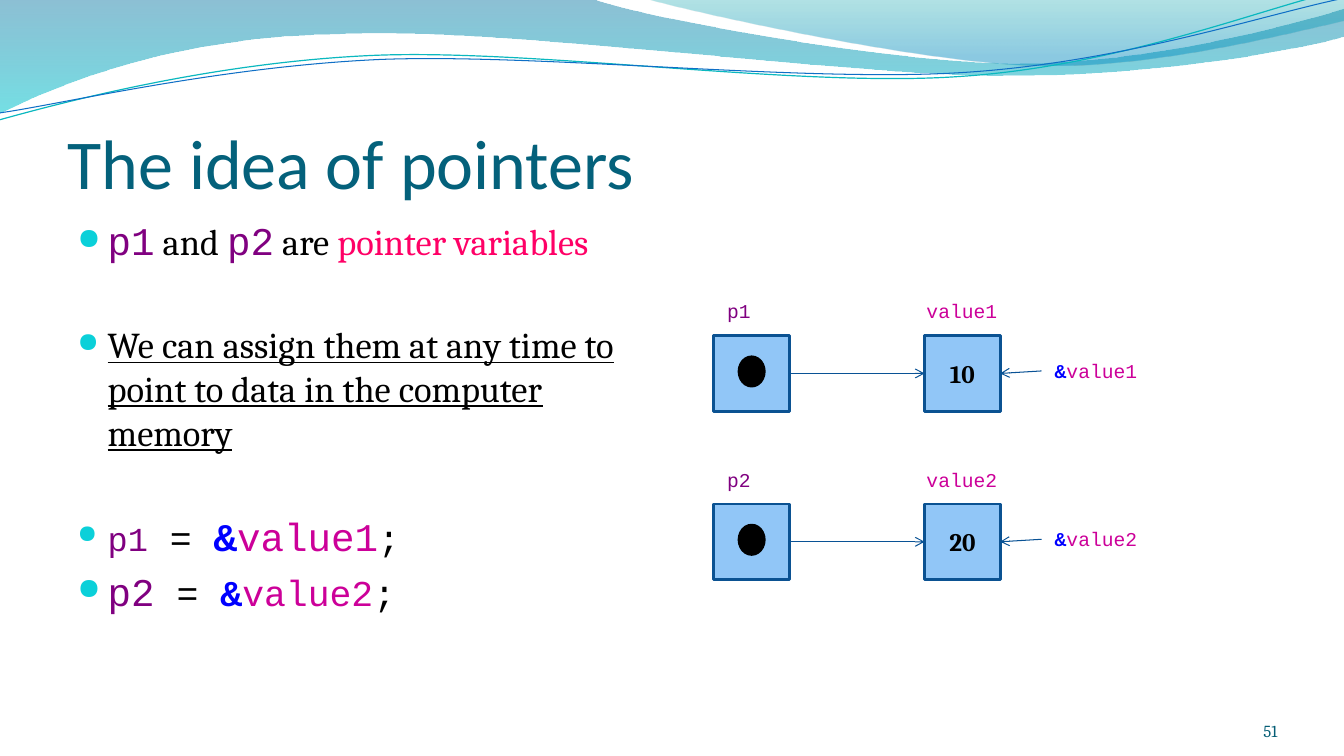
from lxml import etree
from pptx import Presentation
from pptx.dml.color import RGBColor
from pptx.enum.shapes import MSO_CONNECTOR as Connector, MSO_SHAPE as Shape
from pptx.enum.text import MSO_ANCHOR as Anchor, PP_ALIGN as Align
from pptx.oxml.ns import qn
from pptx.util import Inches, Pt

SERIF, MONO, SANS = "Cambria", "Courier New", "Calibri"
BLACK, PURPLE, MAGENTA, BLUE, PINK = "000000", "800080", "CC0099", "0000FF", "FF0066"
BOX_FILL, BOX_EDGE, ARROW, BULLET = "91C6F7", "0B5292", "095295", "0BD0D9"

# Runs: text, size, font, colour, then any of "b" (bold) and "u" (underline)
TITLE = [("The idea of pointers", 50, SANS, "04617B", "")]
PAGE = [("51", 12, SERIF, "045D75", "")]
# Bullets: space before in points, runs
BULLETS = [
    (0, [("p1", 28, MONO, PURPLE, ""), (" and ", 26, SERIF, BLACK, ""),
         ("p2", 28, MONO, PURPLE, ""), (" are ", 26, SERIF, BLACK, ""),
         ("pointer variables", 26, SERIF, PINK, "")]),
    (42, [("We can assign them at any time to point to data in the computer memory",
           26, SERIF, BLACK, "u")]),
    (42, [("p1", 24, MONO, PURPLE, ""), (" = ", 26, MONO, BLACK, ""),
          ("&", 28, MONO, BLUE, "b"), ("value1", 28, MONO, MAGENTA, ""),
          (";", 26, MONO, BLACK, "")]),
    (5.5, [("p2", 28, MONO, PURPLE, ""), (" = ", 26, MONO, BLACK, ""),
           ("&", 26, MONO, BLUE, "b"), ("value2", 26, MONO, MAGENTA, ""),
           (";", 26, MONO, BLACK, "")]),
]
POINTERS = [("p1", "value1", "10"), ("p2", "value2", "20")]

# Outlines: start point, then line ends (2 numbers) or Bezier curves (6 numbers)
# Bands: outline, gradient stops as position, colour, opacity %
BANDS = [
    ([(0, 0), (5.87, -0.01), (6.34, 0.17, 8.85, 0.63, 10.11, 0.63),
      (11.38, 0.63, 12.78, 0.26, 13.33, 0.09), (13.35, 0.36),
      (13.11, 0.44, 11.6, 0.76, 9.94, 0.75), (8.29, 0.75, 5.09, 0.28, 3.43, 0.34),
      (1.72, 0.36, 0.61, 0.83, -0.01, 1.13), (0, 0)],
     [(0, "0074A1", 45), (1, "00C6CF", 55)]),
    ([(6.39, -0.01), (6.79, 0.11, 9.09, 0.62, 10.25, 0.65),
      (11.41, 0.69, 12.82, 0.32, 13.33, 0.21), (13.33, 0), (6.39, -0.01)],
     [(0, "00A1A9", 30), (0.8, "008BBF", 45)]),
]
# Waves: outline, colour, width in points
WAVES = [
    ([(-0.01, 1.19), (0.64, 1.01, 2.11, 0.62, 3.69, 0.55),
      (5.27, 0.48, 7.9, 0.87, 9.5, 0.76), (11.1, 0.66, 12.52, 0.08, 13.31, -0.1)],
     "0AB8BF", 0.85),
    ([(0, 1.12), (0.63, 1.03, 2.18, 0.66, 3.78, 0.59),
      (5.37, 0.53, 7.96, 0.82, 9.55, 0.72), (11.15, 0.62, 12.55, 0.14, 13.34, -0.02)],
     "0F6FC6", 0.75),
]

ROW_TOP, ROW_STEP, BOX = 3.33, 1.67, 0.75
POINTER_X, VALUE_X, ADDRESS_X = 7.08, 9.17, 10.33
LABEL_H, LABEL_RISE, ADDRESS_DROP = 0.34, 0.41, 0.18
DOT_W, DOT_H, DOT_DROP = 0.25, 0.29, 0.21

prs = Presentation()
prs.slide_width, prs.slide_height = Inches(13.33), Inches(7.5)
slide = prs.slides.add_slide(prs.slide_layouts[6])
shapes = slide.shapes


def rgb(colour):
    return RGBColor.from_string(colour)


def add_outline(outline, close):
    """Draw through all points, then join each curve's three points into one Bezier."""
    start, *parts = outline
    points = [(Inches(x), Inches(y)) for part in parts
              for x, y in zip(part[::2], part[1::2])]
    builder = shapes.build_freeform(Inches(start[0]), Inches(start[1]))
    builder.add_line_segments(points, close=close)
    shape = builder.convert_to_shape()
    shape.shadow.inherit = False
    segments = iter(list(shape._element.iter(qn("a:lnTo"))))
    for part in parts:
        segment = next(segments)
        if len(part) == 6:
            segment.tag = qn("a:cubicBezTo")
            for _ in range(2):
                extra = next(segments)
                segment.append(extra[0])
                extra.getparent().remove(extra)
    return shape


def add_runs(paragraph, runs):
    for text, size, font, colour, style in runs:
        run = paragraph.add_run()
        run.text = text
        run.font.size, run.font.name = Pt(size), font
        run.font.color.rgb = rgb(colour)
        run.font.bold, run.font.underline = "b" in style, "u" in style


def add_text(x, y, w, h, runs, align=Align.CENTER, anchor=Anchor.TOP, margins=None):
    box = shapes.add_textbox(Inches(x), Inches(y), Inches(w), Inches(h))
    frame = box.text_frame
    frame.word_wrap, frame.vertical_anchor = True, anchor
    if margins:
        (frame.margin_left, frame.margin_top, frame.margin_right,
         frame.margin_bottom) = [Inches(m) for m in margins]
    frame.paragraphs[0].alignment = align
    add_runs(frame.paragraphs[0], runs)
    return box


def add_shape(kind, x, y, w, h, fill, edge):
    shape = shapes.add_shape(kind, Inches(x), Inches(y), Inches(w), Inches(h))
    shape.shadow.inherit = False
    shape.fill.solid()
    shape.fill.fore_color.rgb = rgb(fill)
    shape.line.color.rgb, shape.line.width = rgb(edge), Pt(2)
    return shape


def add_arrow(start, start_side, end, end_side):
    arrow = shapes.add_connector(Connector.STRAIGHT, 0, 0, 0, 0)
    arrow.begin_connect(start, start_side)
    arrow.end_connect(end, end_side)
    arrow.line.color.rgb, arrow.line.width = rgb(ARROW), Pt(0.75)
    properties = arrow._element.spPr
    etree.SubElement(properties.find(qn("a:ln")), qn("a:tailEnd"), type="arrow")
    etree.SubElement(properties, qn("a:effectLst"))


def add_bullet(paragraph):
    properties = paragraph._p.get_or_add_pPr()
    properties.set("marL", str(Inches(0.3)))
    properties.set("indent", str(-Inches(0.3)))
    colour = etree.SubElement(properties, qn("a:buClr"))
    etree.SubElement(colour, qn("a:srgbClr"), val=BULLET)
    etree.SubElement(properties, qn("a:buSzPct"), val="75000")
    etree.SubElement(properties, qn("a:buChar"), char="●")


for outline, stops in BANDS:
    band = add_outline(outline, close=True)
    band.line.fill.background()
    band.fill.gradient()
    band.fill.gradient_angle = 270
    for stop, (position, colour, _) in zip(band.fill.gradient_stops, stops):
        stop.position, stop.color.rgb = position, rgb(colour)
    for colour, (_, _, opacity) in zip(band._element.spPr.iter(qn("a:srgbClr")), stops):
        etree.SubElement(colour, qn("a:alpha"), val=str(opacity * 1000))

for outline, colour, width in WAVES:
    wave = add_outline(outline, close=False)
    wave.fill.background()
    wave.line.color.rgb, wave.line.width = rgb(colour), Pt(width)

add_text(0.67, 0.77, 12, 1.25, TITLE, Align.LEFT, Anchor.BOTTOM, (0, 0.05, 0, 0))

body = add_text(0.67, 2.1, 5.89, 4.85, [], Align.LEFT)
for index, (space, runs) in enumerate(BULLETS):
    frame = body.text_frame
    paragraph = frame.add_paragraph() if index else frame.paragraphs[0]
    paragraph.space_before = Pt(space)
    add_bullet(paragraph)
    add_runs(paragraph, runs)

for row, (pointer, variable, value) in enumerate(POINTERS):
    top = ROW_TOP + row * ROW_STEP
    pointer_box = add_shape(Shape.RECTANGLE, POINTER_X, top, BOX, BOX, BOX_FILL, BOX_EDGE)
    add_shape(Shape.OVAL, POINTER_X + (BOX - DOT_W) / 2, top + DOT_DROP, DOT_W, DOT_H,
              BLACK, BLACK)
    value_box = add_shape(Shape.RECTANGLE, VALUE_X, top, BOX, BOX, BOX_FILL, BOX_EDGE)
    value_box.text_frame.vertical_anchor = Anchor.MIDDLE
    value_box.text_frame.paragraphs[0].alignment = Align.CENTER
    add_runs(value_box.text_frame.paragraphs[0], [(value, 18, SERIF, BLACK, "b")])

    add_text(POINTER_X, top - LABEL_RISE, 0.5, LABEL_H, [(pointer, 14, MONO, PURPLE, "")])
    variable_run = (variable, 14, MONO, MAGENTA, "")
    add_text(VALUE_X - 0.09, top - LABEL_RISE, 0.92, LABEL_H, [variable_run])
    address = add_text(ADDRESS_X, top + ADDRESS_DROP, 1.08, LABEL_H,
                       [("&", 14, MONO, BLUE, "b"), variable_run])
    add_arrow(pointer_box, 3, value_box, 1)
    add_arrow(address, 1, value_box, 3)

add_text(11.56, 6.95, 1.11, 0.4, PAGE, Align.RIGHT, Anchor.BOTTOM, (0, 0, 0, 0))

prs.save("out.pptx")
